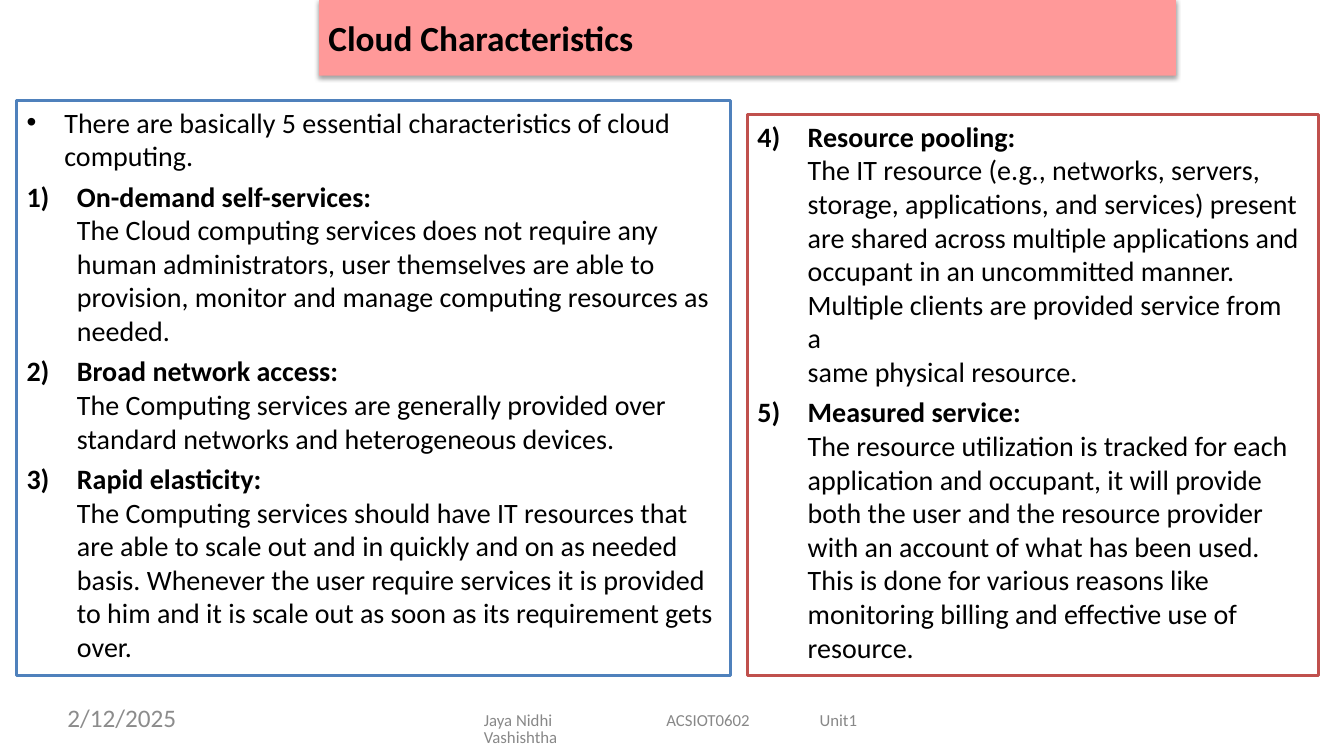
"""Build the Cloud Characteristics slide."""
from lxml import etree
from pptx import Presentation
from pptx.dml.color import RGBColor
from pptx.enum import shapes, text
from pptx.oxml import ns
from pptx.util import Pt


def color(value):
    return RGBColor.from_string(value)


def add_element(parent, tag, **attributes):
    return etree.SubElement(parent, ns.qn(tag), attributes)


class SlideBuilder:
    font = "Calibri"
    ink = "000000"
    body_size = 20

    def __init__(self, page):
        self.page = page

    def rectangle(self, left, top, width, height, fill=None, line=None):
        box = self.page.shapes.add_shape(
            shapes.MSO_SHAPE.RECTANGLE, Pt(left), Pt(top), Pt(width), Pt(height))
        box.shadow.inherit = False
        if fill:
            box.fill.solid()
            box.fill.fore_color.rgb = color(fill)
        else:
            box.fill.background()
        if line:
            box.line.color.rgb = color(line)
            box.line.width = Pt(2)
        else:
            box.line.fill.background()
        return box

    def style(self, para, size, ink, bold=False):
        para.font.name = self.font
        para.font.size = Pt(size)
        para.font.bold = bold
        para.font.color.rgb = color(ink)

    def title(self, left, top, width, height, wording):
        box = self.rectangle(left, top, width, height, fill="FF9999")
        effects = box._element.spPr.find(ns.qn("a:effectLst"))
        shadow = add_element(effects, "a:outerShdw", blurRad=str(Pt(3.1)),
                             dist=str(Pt(1.6)), dir="5400000", rotWithShape="0")
        shade = add_element(shadow, "a:srgbClr", val=self.ink)
        add_element(shade, "a:alpha", val="38000")
        frame = box.text_frame
        frame.vertical_anchor = text.MSO_ANCHOR.MIDDLE
        frame.margin_left = frame.margin_right = Pt(6.6)
        para = frame.paragraphs[0]
        para.text = wording
        para.alignment = text.PP_ALIGN.LEFT
        self.style(para, 25.2, self.ink, bold=True)

    def text_box(self, left, top, width, height, inset_top=0):
        box = self.page.shapes.add_textbox(Pt(left), Pt(top), Pt(width), Pt(height))
        frame = box.text_frame
        frame.word_wrap = True
        frame.auto_size = text.MSO_AUTO_SIZE.SHAPE_TO_FIT_TEXT
        frame.margin_left = frame.margin_right = frame.margin_bottom = 0
        frame.margin_top = Pt(inset_top)
        return frame

    def footer(self, left, top, width, height, wording, size=12, ink="888888", spacing=12.4):
        para = self.text_box(left, top, width, height).paragraphs[0]
        para.text = wording
        if spacing:
            para.line_spacing = Pt(spacing)
        self.style(para, size, ink)

    def body(self, left, top, width, height, items):
        frame = self.text_box(left, top, width, height, inset_top=1.7)
        for index, (marker, wording) in enumerate(items):
            para = frame.add_paragraph() if index else frame.paragraphs[0]
            para.text = wording
            numbered = isinstance(marker, int)
            properties = para._p.get_or_add_pPr()
            properties.set("marL", str(Pt(28 if marker == "•" else 37)))
            properties.set("indent", str(Pt(-36 if numbered else -27 if marker else 0)))
            if marker and index:
                para.space_before = Pt(4.8)
            if numbered:
                add_element(properties, "a:buAutoNum", type="arabicParenR", startAt=str(marker))
            elif marker:
                add_element(properties, "a:buFont", typeface="Arial")
                add_element(properties, "a:buChar", char=marker)
            else:
                add_element(properties, "a:buNone")
            self.style(para, self.body_size, self.ink, bold=numbered)


LEFT_ITEMS = [
    ("•", "There are basically 5 essential characteristics of cloud computing."),
    (1, "On-demand self-services:"),
    (None, "The Cloud computing services does not require any human administrators, "
           "user themselves are able to provision, monitor and manage computing "
           "resources as needed."),
    (2, "Broad network access:"),
    (None, "The Computing services are generally provided over"),
    (None, "standard networks and heterogeneous devices."),
    (3, "Rapid elasticity:"),
    (None, "The Computing services should have IT resources that are able to scale out "
           "and in quickly and on as needed basis. Whenever the user require services it "
           "is provided to him and it is scale out as soon as its requirement gets over."),
]
RIGHT_ITEMS = [
    (4, "Resource pooling:"),
    (None, "The IT resource (e.g., networks, servers, storage, applications, and services) "
           "present are shared across multiple applications and occupant in an "
           "uncommitted manner."),
    (None, "Multiple clients are provided service from\va"),
    (None, "same physical resource."),
    (5, "Measured service:"),
    (None, "The resource utilization is tracked for each application and occupant, it will "
           "provide both the user and the resource provider with an account of what has "
           "been used."),
    (None, "This is done for various reasons like monitoring billing and effective use of "
           "resource."),
]


def main():
    deck = Presentation()
    deck.slide_width, deck.slide_height = Pt(960), Pt(540)
    builder = SlideBuilder(deck.slides.add_slide(deck.slide_layouts[6]))
    builder.title(228, 0, 612, 54, "Cloud Characteristics")
    builder.rectangle(12, 72, 510, 410.4, line="4F81BC")
    builder.body(18, 73.4, 493, 400, LEFT_ITEMS)
    builder.rectangle(534, 82, 408, 400.4, line="C0504D")
    builder.body(540, 83.5, 391, 367, RIGHT_ITEMS)
    for left, width, height, wording in [
        (345.6, 100, 24.5, "Jaya Nidhi Vashishtha"),
        (476, 62, 14.4, "ACSIOT0602"),
        (585.4, 29, 14.4, "Unit1"),
    ]:
        builder.footer(left, 509, width, height, wording)
    builder.footer(48.2, 502, 221, 27.4, "2/12/2025", size=18, ink="8C8C8C", spacing=None)
    deck.save("out.pptx")


if __name__ == "__main__":
    main()
